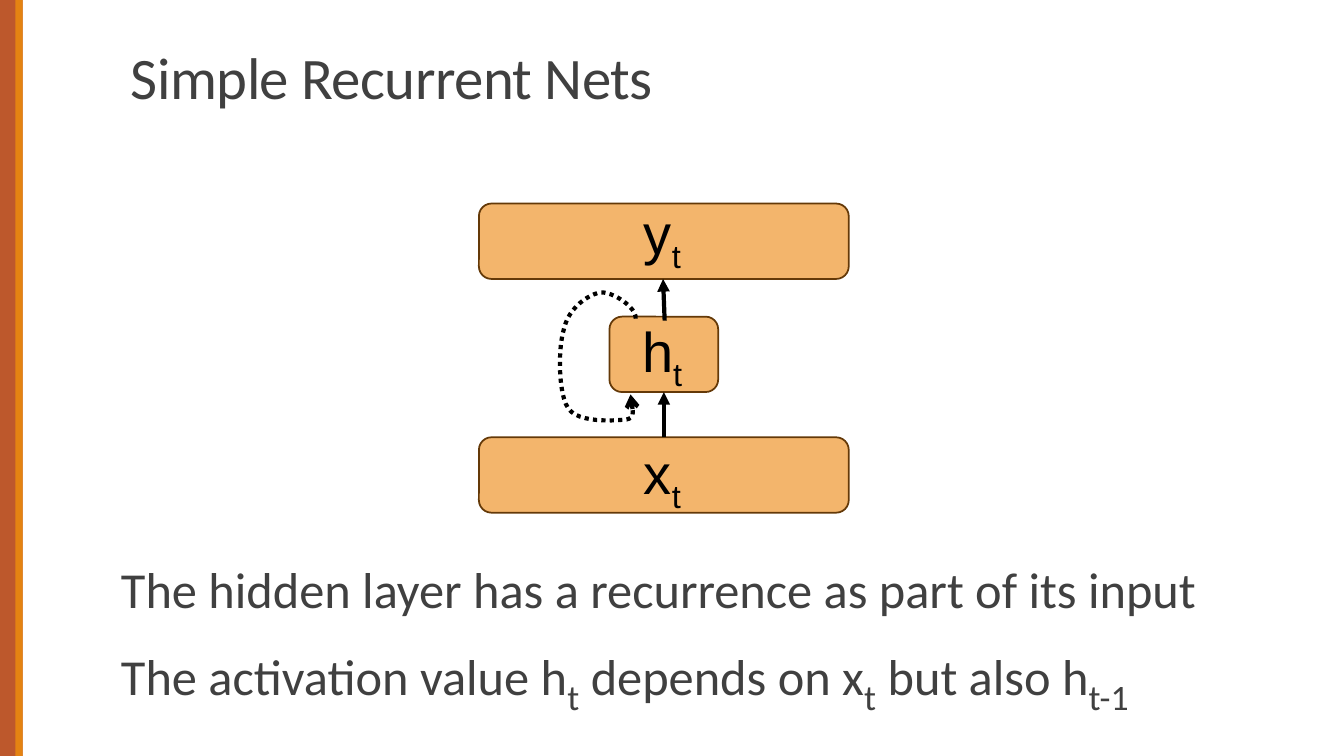
from lxml.etree import SubElement
from pptx import Presentation
from pptx.dml.color import RGBColor
from pptx.enum.dml import MSO_LINE
from pptx.enum.shapes import MSO_CONNECTOR, MSO_SHAPE as SHAPE
from pptx.enum.text import MSO_ANCHOR as ANCHOR
from pptx.oxml.ns import qn
from pptx.util import Cm, Pt

INK, BLACK = "404040", "000000"
WIDTH, HEIGHT = 33.87, 19.05


def color(value):
    return RGBColor.from_string(value)


def add_box(s, kind, box, fill, line=None):
    sp = s.shapes.add_shape(kind, *map(Cm, box))
    sp.shadow.inherit = False
    sp.fill.solid()
    sp.fill.fore_color.rgb = color(fill)
    if line:
        sp.line.color.rgb = color(line)
        sp.line.width = Pt(1.25)
    else:
        sp.line.fill.background()
    return sp


def add_text_box(s, box, **frame):
    tf = s.shapes.add_textbox(*map(Cm, box)).text_frame
    for name, value in frame.items():
        setattr(tf, name, value)
    return tf


def add_runs(p, text, font, size, ink, sub_size=None):
    """Write text in which every second part between underscores is a subscript."""
    for i, part in enumerate(text.split("_")):
        if not part:
            continue
        r = p.add_run()
        r.text = part
        sub = i % 2
        style = {"name": font, "size": Pt(sub_size if sub and sub_size else size)}
        for name, value in style.items():
            setattr(r.font, name, value)
        r.font.color.rgb = color(ink)
        if sub:
            r.font._element.set("baseline", "-25000")


def style_arrow(sp, head):
    sp.line.color.rgb = color(BLACK)
    sp.line.width = Pt(3)
    SubElement(sp.line._get_or_add_ln(), qn("a:tailEnd"), type=head)


def add_arrow(s, start, end):
    c = s.shapes.add_connector(MSO_CONNECTOR.STRAIGHT, *map(Cm, start + end))
    SubElement(c._element.spPr, qn("a:effectLst"))
    style_arrow(c, "triangle")


def curve_points(start, curves, steps=12):
    """Sample a chain of cubic Bézier curves."""
    points = [start]
    for a, b, end in curves:
        for i in range(1, steps + 1):
            t = i / steps
            weights = ((1 - t) ** 3, 3 * t * (1 - t) ** 2, 3 * t * t * (1 - t), t ** 3)
            points.append(tuple(sum(w * q[k] for w, q in zip(weights, (start, a, b, end)))
                                for k in (0, 1)))
        start = end
    return points


def add_recurrence(s, left, top):
    """Draw the dotted loop from the top of the hidden layer back to its bottom."""
    curves = [
        ((0.69, -0.23), (0.08, -0.64), (-0.23, -0.61)),
        ((-0.53, -0.56), (-1.02, -0.23), (-1.14, 0.28)),
        ((-1.3, 0.76), (-1.3, 1.93), (-1.04, 2.31)),
        ((-0.79, 2.69), (0.15, 2.62), (0.43, 2.59)),
        ((0.71, 2.54), (0.53, 2.24), (0.53, 1.96)),
    ]
    points = [(Cm(left + x), Cm(top + y)) for x, y in curve_points((0.66, 0.05), curves)]
    builder = s.shapes.build_freeform(*points[0], scale=1.0)
    builder.add_line_segments(points[1:], close=False)
    loop = builder.convert_to_shape()
    loop.shadow.inherit = False
    loop.fill.background()
    loop.line.dash_style = MSO_LINE.ROUND_DOT
    style_arrow(loop, "arrow")


def add_sidebar(s, width, height):
    stripe = 0.18
    add_box(s, SHAPE.RECTANGLE, (0, 0, width, height), "BD582C")
    add_box(s, SHAPE.RECTANGLE, (width - stripe, 0, stripe, height), "E48312")


def add_title(s, box):
    tf = add_text_box(s, box, word_wrap=True, vertical_anchor=ANCHOR.BOTTOM)
    p = tf.paragraphs[0]
    p.line_spacing = 0.85
    add_runs(p, "Simple Recurrent Nets", "Calibri", 42, INK)
    p.runs[0].font._element.set("spc", "-40")


def add_network(s, left, top, width):
    layer_height, hidden_width = 1.9, 2.74
    center = left + width / 2
    output_y, hidden_y, input_y = top, top + 2.85, top + 5.89
    layers = [
        ("x_t", input_y, width, 1.5, -0.1),
        ("y_t", output_y, width, 1.5, -0.25),
        ("h_t", hidden_y, hidden_width, 1.6, -0.13),
    ]
    for text, y, layer_width, label_width, shift in layers:
        add_box(s, SHAPE.ROUNDED_RECTANGLE,
                (center - layer_width / 2, y, layer_width, layer_height), "F3B56C", "643908")
        tf = add_text_box(s, (center - label_width / 2, y + shift, label_width, 1.96),
                          word_wrap=False)
        add_runs(tf.paragraphs[0], text, "Arial", 40, BLACK)
    add_arrow(s, (center, input_y), (center, hidden_y + layer_height))
    add_arrow(s, (center + 0.02, hidden_y + 0.1), (center - 0.02, output_y + layer_height))
    add_recurrence(s, center - hidden_width / 2, hidden_y)


def add_notes_on_recurrence(s, box):
    tf = add_text_box(s, box, word_wrap=False, margin_left=0, margin_right=0)
    lines = [
        "The hidden layer has a recurrence as part of its input",
        "The activation value h_t_ depends on x_t_ but also h_t-1",
    ]
    for i, line in enumerate(lines):
        p = tf.add_paragraph() if i else tf.paragraphs[0]
        p.line_spacing = 0.9
        p.space_before = Pt(9 if i else 0)
        p.space_after = Pt(1.5)
        add_runs(p, line, "Calibri", 36, INK, sub_size=44)


def main():
    prs = Presentation()
    prs.slide_width, prs.slide_height = Cm(WIDTH), Cm(HEIGHT)
    s = prs.slides.add_slide(prs.slide_layouts[6])
    add_sidebar(s, 0.57, HEIGHT)
    add_title(s, (3.05, 0.43, 27.94, 2.51))
    add_network(s, 12.07, 5.13, 9.32)
    add_notes_on_recurrence(s, (3.05, 14.12, 27.33, 3.73))
    prs.save("out.pptx")


if __name__ == "__main__":
    main()
